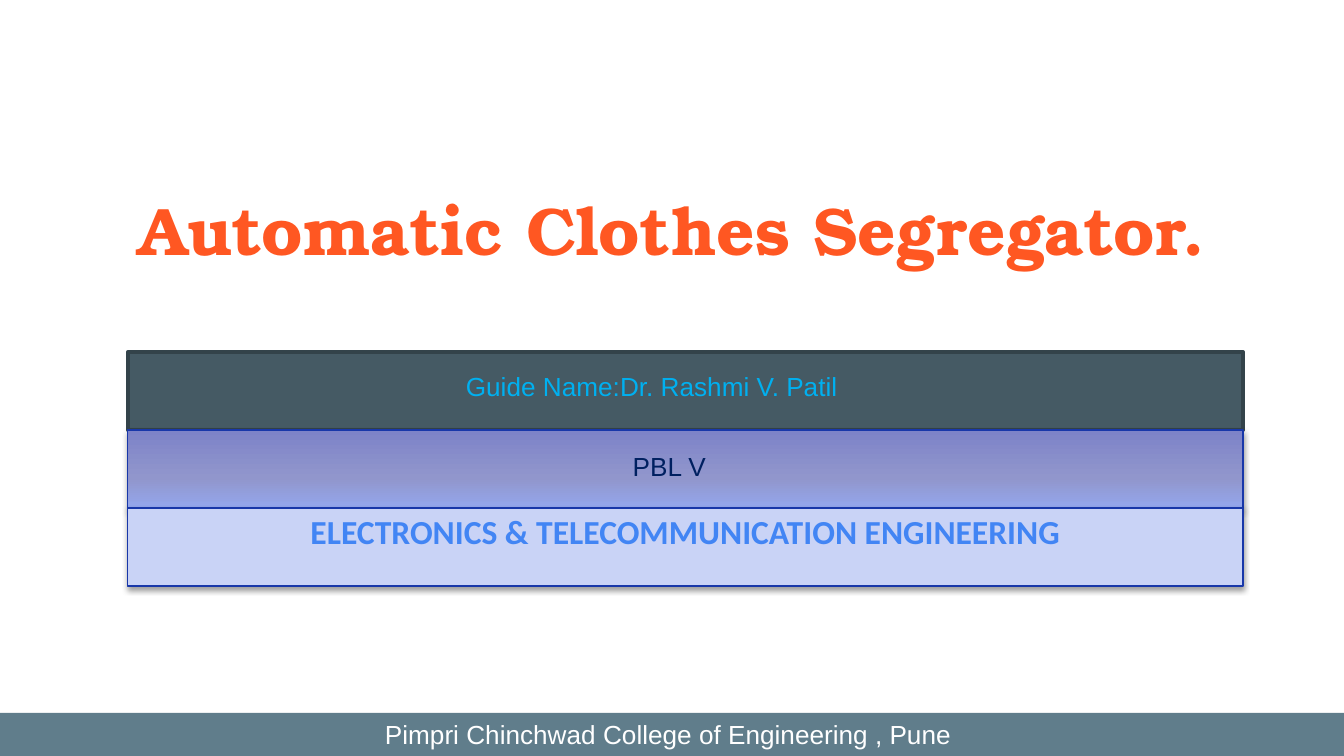
from copy import deepcopy
from dataclasses import dataclass

from lxml import etree
from pptx import Presentation
from pptx import util as u
from pptx.dml.color import RGBColor
from pptx.enum import shapes, text
from pptx.oxml.ns import qn

W = 10
H = W * 9 / 16
BAND_LEFT, BAND_TOP, BAND_W, BAND_H = 0.95, 2.62, 8.3, 0.58
FOOTER_H = 0.32


@dataclass(frozen=True)
class Theme:
    title_font: str = "TeX Gyre Bonum"
    body_font: str = "Arial"
    dept_font: str = "Calibri"
    title_size: int = 36
    dept_size: int = 18
    body_size: int = 14
    title: str = "FF5722"
    guide: str = "00B0F0"
    course: str = "002060"
    dept: str = "4285F4"
    white: str = "FFFFFF"
    slate: str = "455A64"
    slate_line: str = "33434A"
    blue_line: str = "1837A9"
    pale_blue: str = "C9D3F6"
    footer: str = "607D8B"
    gradient: tuple = ((0, "7D83C8"), (0.62, "9196CC"), (1, "94A7ED"))


T = Theme()


def rgb(code):
    return RGBColor.from_string(code)


def place(sp, left, top, width, height):
    sp.left, sp.top, sp.width, sp.height = map(u.Inches, (left, top, width, height))


def write(sp, words, size, font, color, bold=False,
          anchor=text.MSO_ANCHOR.MIDDLE, inset=0.05):
    tf = sp.text_frame
    tf.word_wrap = True
    tf.auto_size = text.MSO_AUTO_SIZE.NONE
    tf.vertical_anchor = anchor
    tf.margin_top = tf.margin_bottom = u.Inches(inset)
    p = tf.paragraphs[0]
    p.alignment = text.PP_ALIGN.CENTER
    r = p.add_run()
    r.text = words
    r.font.size, r.font.name, r.font.bold = u.Pt(size), font, bold
    r.font.color.rgb = rgb(color)


def add_label(s, box, words, color):
    sp = s.shapes.add_textbox(*map(u.Inches, box))
    write(sp, words, T.body_size, T.body_font, color, anchor=text.MSO_ANCHOR.TOP)


def fill_gradient(sp, stops):
    """Fill from top to bottom with any number of (position, colour) stops."""
    sp.fill.gradient()
    sp.fill.gradient_angle = 270
    gs_list = sp._element.spPr.find(".//" + qn("a:gsLst"))
    while len(gs_list) < len(stops):
        gs_list.append(deepcopy(gs_list[0]))
    for stop, (position, color) in zip(sp.fill.gradient_stops, stops):
        stop.position = position
        stop.color.rgb = rgb(color)


def add_shadow(sp):
    effects = sp._element.spPr.find(qn("a:effectLst"))
    shadow = etree.SubElement(effects, qn("a:outerShdw"), blurRad=str(u.Pt(3.1)),
                              dist=str(u.Pt(1.6)), dir="5400000", rotWithShape="0")
    color = etree.SubElement(shadow, qn("a:srgbClr"), val="000000")
    etree.SubElement(color, qn("a:alpha"), val="38000")


def add_rect(s, box, fill, line=None, line_width=0.75, shadow=False):
    sp = s.shapes.add_shape(shapes.MSO_SHAPE.RECTANGLE, *map(u.Inches, box))
    sp.shadow.inherit = False
    if isinstance(fill, str):
        sp.fill.solid()
        sp.fill.fore_color.rgb = rgb(fill)
    else:
        fill_gradient(sp, fill)
    if line:
        sp.line.color.rgb = rgb(line)
        sp.line.width = u.Pt(line_width)
    else:
        sp.line.fill.background()
    if shadow:
        add_shadow(sp)
    return sp


def add_band(s, row, fill, line, **style):
    box = BAND_LEFT, BAND_TOP + row * BAND_H, BAND_W, BAND_H
    return add_rect(s, box, fill, line, **style)


def main():
    prs = Presentation()
    prs.slide_width, prs.slide_height = u.Inches(W), u.Inches(H)
    s = prs.slides.add_slide(prs.slide_layouts[5])

    title = s.shapes.title
    place(title, 0.75, 1.24, 8.5, 0.86)
    write(title, "Automatic Clothes Segregator.", T.title_size, T.title_font,
          T.title, bold=True, anchor=text.MSO_ANCHOR.BOTTOM, inset=0.1)

    add_band(s, 0, T.slate, T.slate_line, line_width=2)
    add_band(s, 1, T.gradient, T.blue_line, shadow=True)
    dept = add_band(s, 2, T.pale_blue, T.blue_line, shadow=True)
    write(dept, "ELECTRONICS & TELECOMMUNICATION ENGINEERING", T.dept_size,
          T.dept_font, T.dept, bold=True, anchor=text.MSO_ANCHOR.TOP, inset=0.02)

    footer = add_rect(s, (0, H - FOOTER_H, W, FOOTER_H), T.footer)
    write(footer, "Pimpri Chinchwad College of Engineering , Pune ",
          T.body_size, T.body_font, T.white)

    add_label(s, (3.02, 2.71, 3.66, 0.57), "Guide Name:Dr. Rashmi V. Patil", T.guide)
    add_label(s, (4.34, 3.3, 1.28, 0.34), "PBL V", T.course)

    prs.save("out.pptx")


if __name__ == "__main__":
    main()
